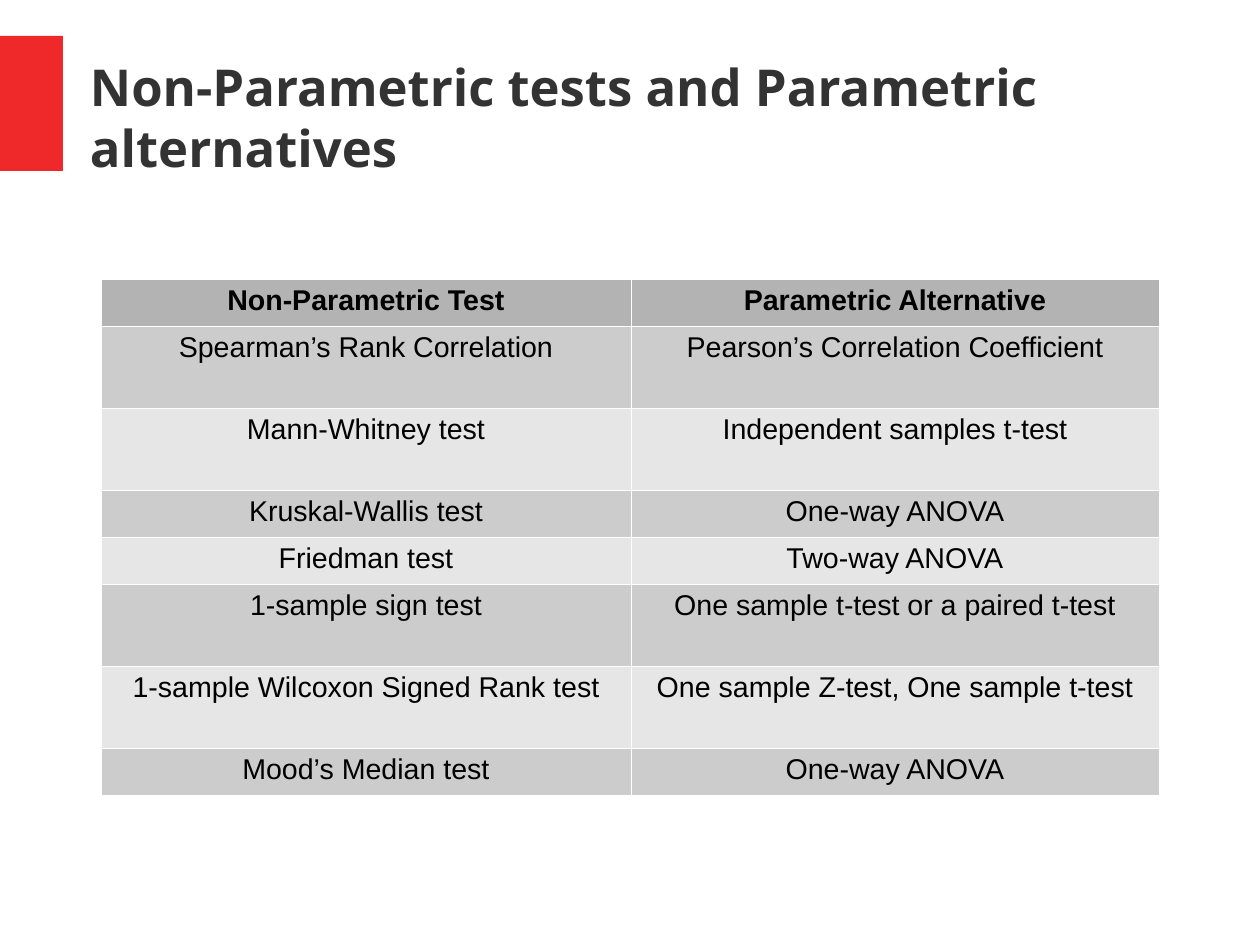
"""Build the slide that pairs non-parametric tests with their parametric alternatives."""
from dataclasses import dataclass

from lxml.etree import SubElement
from pptx import Presentation
from pptx.dml.color import RGBColor
from pptx.enum.shapes import MSO_SHAPE as Shape
from pptx.enum.text import MSO_ANCHOR as Anchor, PP_ALIGN as Align
from pptx.oxml.ns import qn
from pptx.util import Pt

EMU_PER_PIXEL = 8000


@dataclass(frozen=True)
class Theme:
    accent: str = "EF2929"
    title_color: str = "333333"
    text_color: str = "000000"
    border_color: str = "FFFFFF"
    header_fill: str = "B3B3B3"
    band_fills: tuple = ("CCCCCC", "E6E6E6")
    title_font: str = "Noto Sans"
    table_font: str = "Arial"
    title_size: int = 32
    table_size: int = 18
    border_width: float = 0.06


def pixels(*lengths):
    return [length * EMU_PER_PIXEL for length in lengths]


class SlideBuilder:
    def __init__(self, slide, theme):
        self.slide = slide
        self.theme = theme

    def add_run(self, paragraph, text, font, size, color, bold):
        run = paragraph.add_run()
        run.text = text
        run.font.name = font
        run.font.size = Pt(size)
        run.font.bold = bold
        run.font.color.rgb = RGBColor.from_string(color)

    def add_block(self, box, color):
        shape = self.slide.shapes.add_shape(Shape.RECTANGLE, *pixels(*box))
        shape.shadow.inherit = False
        shape.fill.solid()
        shape.fill.fore_color.rgb = RGBColor.from_string(color)
        shape.line.fill.background()

    def add_title(self, box, text):
        theme = self.theme
        frame = self.slide.shapes.add_textbox(*pixels(*box)).text_frame
        frame.word_wrap = True
        frame.vertical_anchor = Anchor.MIDDLE
        frame.margin_left = frame.margin_right = 0
        frame.margin_top = frame.margin_bottom = 0
        self.add_run(frame.paragraphs[0], text, theme.title_font,
                     theme.title_size, theme.title_color, True)

    def add_borders(self, cell):
        properties = cell._tc.get_or_add_tcPr()
        for side in ("lnL", "lnR", "lnT", "lnB"):
            line = SubElement(properties, qn(f"a:{side}"),
                              w=str(Pt(self.theme.border_width)))
            fill = SubElement(line, qn("a:solidFill"))
            SubElement(fill, qn("a:srgbClr"), val=self.theme.border_color)

    def fill_cell(self, cell, text, color, bold):
        theme = self.theme
        self.add_borders(cell)
        cell.fill.solid()
        cell.fill.fore_color.rgb = RGBColor.from_string(color)
        paragraph = cell.text_frame.paragraphs[0]
        paragraph.alignment = Align.CENTER
        self.add_run(paragraph, text, theme.table_font, theme.table_size,
                     theme.text_color, bold)

    def add_table(self, left, top, widths, heights, rows):
        box = pixels(left, top, sum(widths), sum(heights))
        table = self.slide.shapes.add_table(len(rows), len(widths), *box).table
        table.first_row = table.horz_banding = False
        for column, width in zip(table.columns, pixels(*widths)):
            column.width = width
        for index, (row, height) in enumerate(zip(table.rows, pixels(*heights))):
            row.height = height
            header = index == 0
            bands = self.theme.band_fills
            color = self.theme.header_fill if header else bands[(index - 1) % len(bands)]
            for cell, text in zip(row.cells, rows[index]):
                self.fill_cell(cell, text, color, header)


SHORT, TALL = 47, 82
TESTS = [
    (SHORT, "Non-Parametric Test", "Parametric Alternative"),
    (TALL, "Spearman’s Rank Correlation", "Pearson’s Correlation Coefficient"),
    (TALL, "Mann-Whitney test", "Independent samples t-test"),
    (SHORT, "Kruskal-Wallis test", "One-way ANOVA"),
    (SHORT, "Friedman test", "Two-way ANOVA"),
    (TALL, "1-sample sign test", "One sample t-test or a paired t-test"),
    (TALL, "1-sample Wilcoxon Signed Rank test", "One sample Z-test, One sample t-test"),
    (SHORT, "Mood’s Median test", "One-way ANOVA"),
]

presentation = Presentation()
presentation.slide_width, presentation.slide_height = pixels(1260, 945)
theme = Theme()
builder = SlideBuilder(presentation.slides.add_slide(presentation.slide_layouts[6]), theme)
builder.add_block((0, 36, 63, 135), theme.accent)
builder.add_title((90, 38, 1106, 158), "Non-Parametric tests and Parametric alternatives")
builder.add_table(101, 279, (530, 528), [test[0] for test in TESTS],
                  [test[1:] for test in TESTS])
presentation.save("out.pptx")
